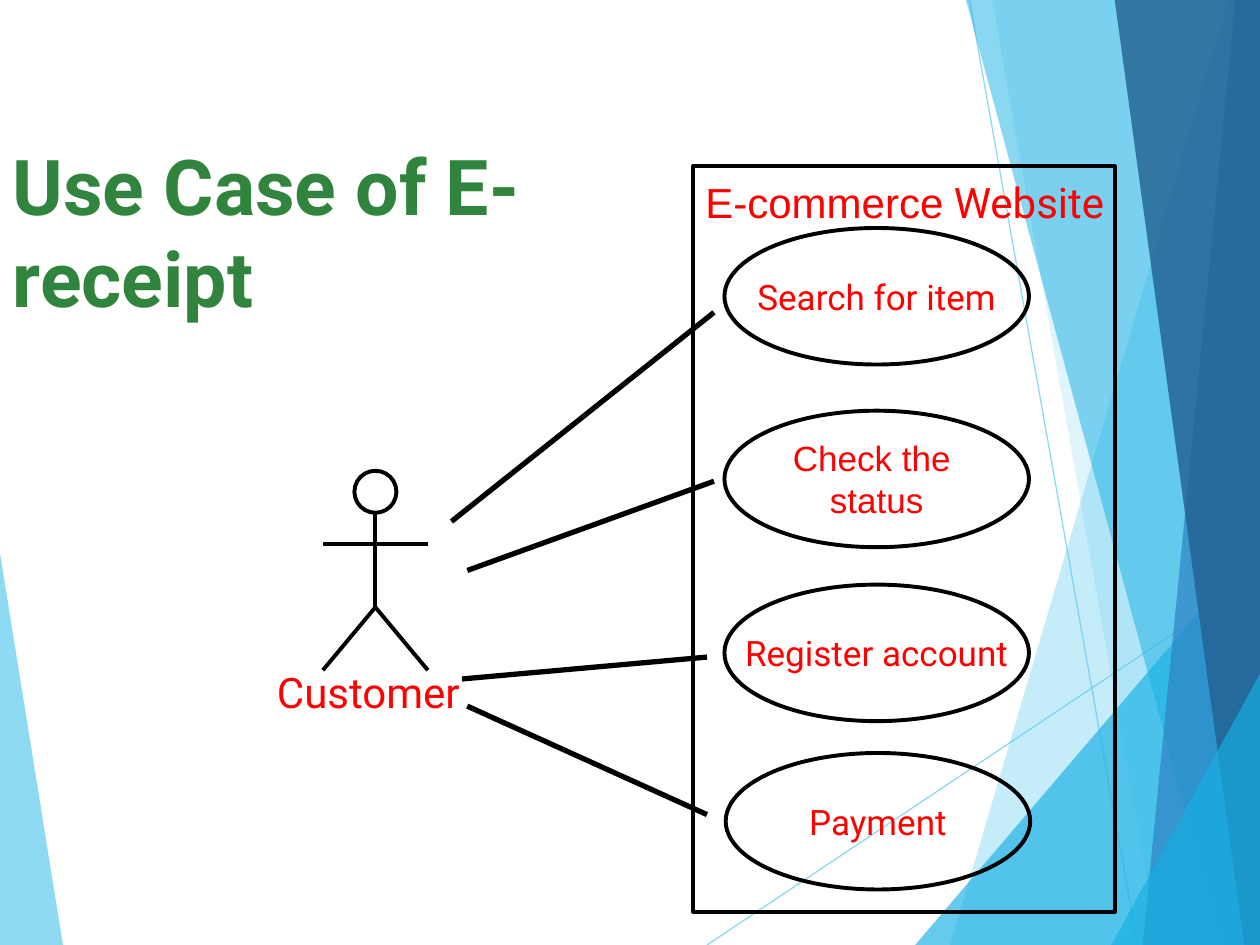
"""Build the use case diagram slide for an e-receipt."""
from dataclasses import dataclass

import pptx
import pptx.dml.color
import pptx.enum.shapes
import pptx.enum.text
import pptx.oxml
import pptx.oxml.ns
import pptx.shapes.autoshape
import pptx.util

Pt = pptx.util.Pt
ALIGN = pptx.enum.text.PP_ALIGN
ANCHOR = pptx.enum.text.MSO_ANCHOR
SHAPE = pptx.enum.shapes.MSO_SHAPE
Point = tuple[float, float]

WIDTH, HEIGHT = 720, 540
BLACK, RED, GREEN = "000000", "FF0000", "31843D"
SKY, CYAN, BLUE, NAVY = "5FCBEF", "17B0E4", "2E83C3", "236292"
CASE_WIDTH, CASE_HEIGHT = 174, 78


@dataclass
class Facet:
    corners: list[Point]
    color: str
    opacity: int


@dataclass
class Stroke:
    start: Point
    end: Point
    color: str = BLACK
    weight: float = 2.25
    opacity: int = 100


@dataclass
class UseCase:
    lines: list[str]
    left: float
    top: float
    font: str = "Roboto"


def right_band(top_x: float, bottom_x: float) -> list[Point]:
    """Return the corners of a band reaching the right slide edge."""
    return [(top_x, 0), (bottom_x, HEIGHT), (WIDTH, HEIGHT), (WIDTH, 0)]


def right_corner(bottom_x: float, right_y: float) -> list[Point]:
    """Return the corners of a triangle in the bottom right corner."""
    return [(bottom_x, HEIGHT), (WIDTH, right_y), (WIDTH, HEIGHT)]


LEFT_FACET = Facet([(0, 316), (35.5, HEIGHT), (0, HEIGHT)], SKY, 70)
RIGHT_FACETS = [
    Facet(right_band(702, 543), SKY, 36),
    Facet(right_band(567, 662), SKY, 20),
    Facet(right_corner(523, 309), CYAN, 66),
    Facet(right_band(552, 698), CYAN, 50),
    Facet(right_band(706, 653), BLUE, 70),
    Facet(right_band(637, 711), NAVY, 82),
    Facet(right_corner(635, 385), CYAN, 66),
]
HAIRLINES = [
    Stroke((404, HEIGHT), (WIDTH, 329), SKY, 0.75, 70),
    Stroke((554, 0), (650, HEIGHT), SKY, 0.75, 70),
]
HIP = (214.5, 347)
LIMBS = [
    Stroke((214.5, 293), HIP),
    Stroke((244.5, 383), HIP),
    Stroke((184.5, 383), HIP),
    Stroke((244.5, 311), (184.5, 311)),
]
USE_CASES = [
    UseCase(["Search for item"], 414, 130.3),
    UseCase(["Check the ", "status"], 414, 234.7, "Arial"),
    UseCase(["Register account"], 414, 334.1),
    UseCase(["Payment"], 414.7, 430.3),
]
ASSOCIATIONS = [
    Stroke((258, 298), (408, 178.5), weight=3),
    Stroke((267, 326), (408, 275), weight=3),
    Stroke((264, 388), (404, 375.5), weight=3),
    Stroke((267, 403.5), (404, 465.5), weight=3),
]


def rgb(color: str) -> pptx.dml.color.RGBColor:
    """Turn a hex string into a colour."""
    return pptx.dml.color.RGBColor.from_string(color)


def set_opacity(shape, percent: int) -> None:
    """Apply an opacity to every explicit colour of a shape."""
    for color in shape.element.spPr.iter(pptx.oxml.ns.qn("a:srgbClr")):
        alpha = color.makeelement(pptx.oxml.ns.qn("a:alpha"), {"val": str(percent * 1000)})
        color.append(alpha)


def set_font(font, name: str, size: float, color: str, bold: bool = False) -> None:
    """Set the face, size, weight and colour of a font."""
    font.name, font.size, font.bold = name, Pt(size), bold
    font.color.rgb = rgb(color)


def draw_facet(shapes, facet: Facet) -> None:
    """Draw one translucent polygon."""
    builder = shapes.build_freeform(*facet.corners[0], scale=Pt(1))
    builder.add_line_segments(facet.corners[1:])
    polygon = builder.convert_to_shape()
    polygon.shadow.inherit = False
    polygon.fill.solid()
    polygon.fill.fore_color.rgb = rgb(facet.color)
    polygon.line.fill.background()
    set_opacity(polygon, facet.opacity)


def draw_stroke(shapes, stroke: Stroke) -> None:
    """Draw one straight line."""
    line = shapes.add_connector(
        pptx.enum.shapes.MSO_CONNECTOR.STRAIGHT,
        *(Pt(value) for value in (*stroke.start, *stroke.end)),
    )
    line.line.color.rgb = rgb(stroke.color)
    line.line.width = Pt(stroke.weight)
    if stroke.opacity < 100:
        set_opacity(line, stroke.opacity)
    line.element.spPr.append(pptx.oxml.parse_xml(f"<a:effectLst {pptx.oxml.ns.nsdecls('a')}/>"))


def draw_outline(shapes, kind: SHAPE, *box: float) -> pptx.shapes.autoshape.Shape:
    """Draw an unfilled shape with a black outline."""
    outline = shapes.add_shape(kind, *map(Pt, box))
    outline.shadow.inherit = False
    outline.fill.background()
    outline.line.color.rgb = rgb(BLACK)
    outline.line.width = Pt(2.25)
    return outline


def draw_use_case(shapes, case: UseCase) -> None:
    """Draw one labelled use case ellipse."""
    ellipse = draw_outline(shapes, SHAPE.OVAL, case.left, case.top, CASE_WIDTH, CASE_HEIGHT)
    frame = ellipse.text_frame
    frame.word_wrap = False
    frame.vertical_anchor = ANCHOR.MIDDLE
    frame.text = "\n".join(case.lines)
    for paragraph in frame.paragraphs:
        paragraph.alignment = ALIGN.CENTER
        set_font(paragraph.font, case.font, 20, RED)


def draw_label(shapes, runs: list[tuple[str, str]], wrap: bool, *box: float) -> None:
    """Draw a red label from pairs of text and font name."""
    frame = shapes.add_textbox(*map(Pt, box)).text_frame
    frame.word_wrap = wrap
    for text, font in runs:
        run = frame.paragraphs[0].add_run()
        run.text = text
        set_font(run.font, font, 24, RED)


def write_title(title) -> None:
    """Place and format the slide title."""
    title.left, title.top, title.width, title.height = map(Pt, (0, 75.6, 347, 113))
    frame = title.text_frame
    frame.text = "Use Case of E-receipt"
    frame.word_wrap = True
    frame.auto_size = pptx.enum.text.MSO_AUTO_SIZE.NONE
    frame.vertical_anchor = ANCHOR.TOP
    frame.paragraphs[0].alignment = ALIGN.LEFT
    set_font(frame.paragraphs[0].font, "Roboto", 44, GREEN, bold=True)


def main() -> None:
    """Build and save the slide."""
    deck = pptx.Presentation()
    deck.slide_width, deck.slide_height = Pt(WIDTH), Pt(HEIGHT)
    slide = deck.slides.add_slide(deck.slide_layouts[5])
    write_title(slide.shapes.title)

    backdrop = slide.shapes.add_group_shape().shapes
    draw_facet(backdrop, LEFT_FACET)
    for hairline in HAIRLINES:
        draw_stroke(backdrop, hairline)
    for facet in RIGHT_FACETS:
        draw_facet(backdrop, facet)

    customer = slide.shapes.add_group_shape().shapes
    for limb in LIMBS:
        draw_stroke(customer, limb)
    draw_outline(customer, SHAPE.OVAL, 202.5, 269, 24, 24)
    draw_label(customer, [("Customer", "Roboto")], False, 151.2, 377.3, 124.6, 36)

    draw_outline(slide.shapes, SHAPE.RECTANGLE, 396, 95, 241, 426)
    website = [("E-commerce", "Arial"), (" Website", "Roboto")]
    draw_label(slide.shapes, website, True, 396, 97.2, 244, 65)
    for case in USE_CASES:
        draw_use_case(slide.shapes, case)
    for association in ASSOCIATIONS:
        draw_stroke(slide.shapes, association)

    deck.save("out.pptx")


if __name__ == "__main__":
    main()
